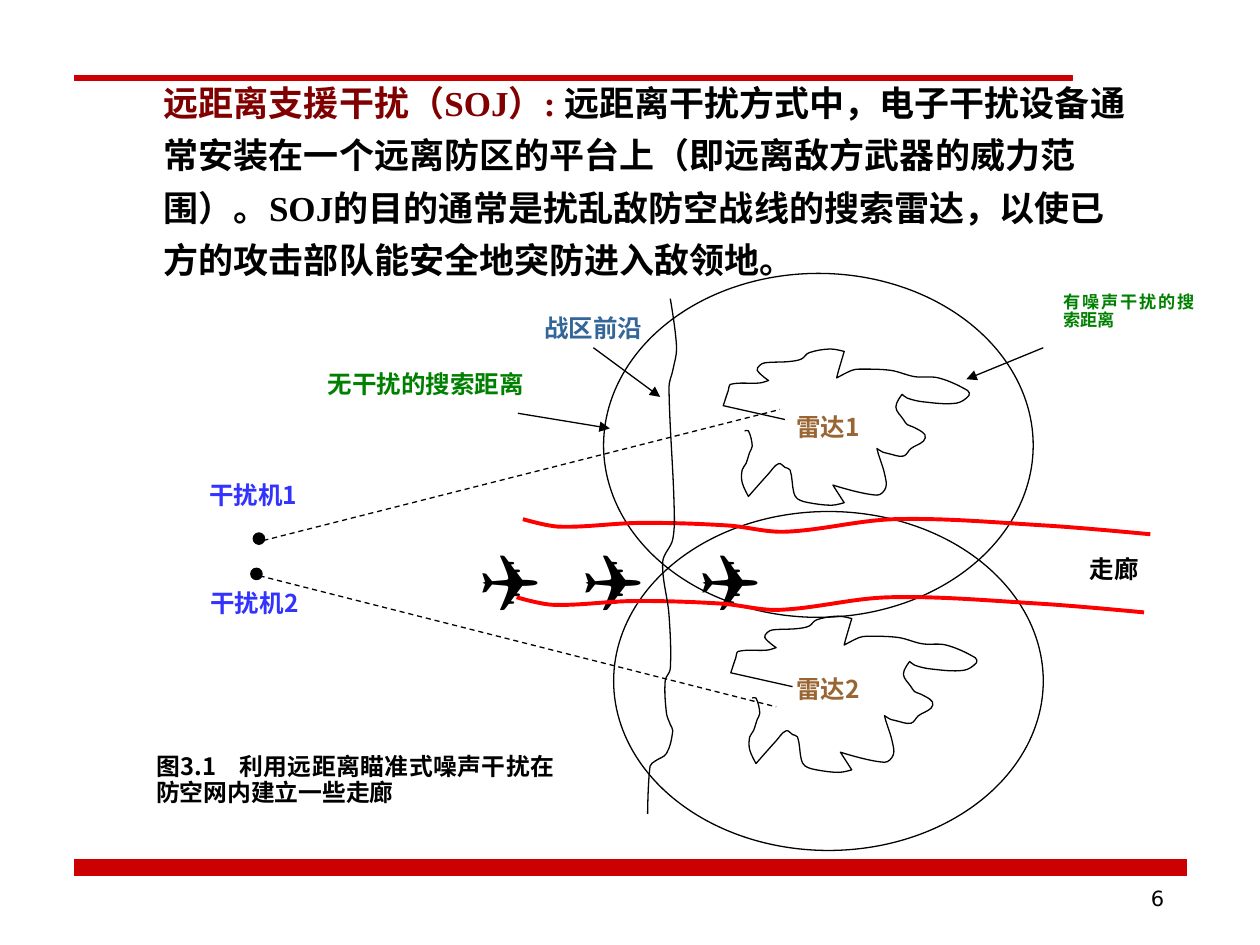
"""Builds the slide on stand-off jamming that opens corridors in an air-defence net."""
import math
from dataclasses import dataclass

import pptx
import pptx.dml.color
import pptx.enum.dml
import pptx.enum.shapes
import pptx.enum.text
import pptx.oxml
import pptx.oxml.ns
import pptx.util
from pptx.util import Inches

ALIGN = pptx.enum.text.PP_ALIGN
SHAPE = pptx.enum.shapes.MSO_SHAPE
CJK = "Noto Sans CJK SC"
BLACK, RED, BRIGHT_RED = "000000", "CC0000", "FF0000"
BLUE, GREEN, BROWN = "3333FF", "008000", "996633"
Point = tuple[float, float]


@dataclass
class Label:
    text: str
    box: tuple[float, float, float, float]
    color: str = BLACK
    size: float = 14
    font: str = CJK
    bold: bool = True
    align: ALIGN = ALIGN.JUSTIFY
    spacing: float = 1.0
    tabs: tuple[float, ...] = ()


@dataclass
class Line:
    start: Point
    end: Point
    color: str = BLACK
    width: float = 0.75
    dashed: bool = False
    arrow: bool = False


RADAR_BLOB = [
    (6.23, 3.33), (5.74, 3.22), (5.78, 3.1), (5.8, 3.05), (6.03, 3.04), (6.1, 3.02),
    (6.01, 2.94), (6.03, 2.9), (6.07, 2.88), (6.26, 2.87), (6.36, 2.85), (6.42, 2.8),
    (6.59, 2.77), (6.7, 2.79), (6.65, 2.96), (6.64, 3), (6.76, 2.94), (6.82, 2.93),
    (7.07, 2.94), (7.26, 2.99), (7.45, 3), (7.68, 3.1), (7.69, 3.14), (7.59, 3.2),
    (7.33, 3.19), (7.2, 3.16), (7.16, 3.13), (7.11, 3.23), (7.17, 3.33), (7.2, 3.37),
    (7.25, 3.39), (7.34, 3.45), (7.33, 3.5), (7.23, 3.56), (7.17, 3.62), (7.05, 3.6),
    (7.01, 3.59), (6.96, 3.56), (6.97, 3.6), (6.99, 3.66), (7.02, 3.76), (7.03, 3.87),
    (6.96, 3.93), (6.61, 3.85), (6.7, 3.99), (6.6, 4.01), (6.42, 3.99), (6.33, 3.96),
    (6.3, 3.91), (6.27, 3.73), (6.23, 3.71), (6.18, 3.68), (6.1, 3.76), (5.94, 3.94),
    (5.89, 3.83), (5.89, 3.73), (5.92, 3.68), (5.95, 3.59), (5.97, 3.54), (5.94, 3.42),
    (5.91, 3.42),
]
CORRIDOR_EDGE = [
    (4.15, 4.12), (4.44, 4.18), (5.08, 4.15), (5.77, 4.17), (6.23, 4.22), (7.11, 4.12),
    (8.29, 4.17), (9.13, 4.24),
]
FRONT_LINE = [
    (5.32, 2.37), (5.37, 2.76), (5.34, 2.94), (5.31, 3.07), (5.35, 4), (5.34, 4.28),
    (5.26, 4.46), (5.31, 4.88), (5.32, 5.31), (5.28, 5.4), (5.29, 5.66), (5.32, 5.75),
    (5.34, 5.8), (5.29, 5.98), (5.2, 6.04), (5.16, 6.08), (5.14, 6.46),
]
FOOTER_LINE = Line((0.67, 6.9), (9.33, 6.9), RED, 0.25)
LINES = [
    Line((2.09, 4.29), (6.19, 3.25), dashed=True),
    Line((2.06, 4.57), (6.16, 5.61), dashed=True),
    Line((4.71, 2.76), (5.24, 3.15), arrow=True),
    Line((4.11, 3.28), (4.84, 3.4), arrow=True),
    Line((8.28, 2.76), (7.67, 3.01), arrow=True),
]
PLANES = Label("✈\t✈\t✈", (3.72, 4.24, 3.82, 0.73), size=36, font="Arial",
               align=ALIGN.LEFT, tabs=(0.82, 1.75))
LABELS = [
    Label("战区前沿", (4.23, 2.44, 1.24, 0.45), "336699"),
    Label("干扰机2", (1.58, 4.63, 1.06, 0.41), BLUE),
    Label("干扰机1", (1.57, 3.77, 1.06, 0.41), BLUE),
    Label("走廊", (8.56, 4.36, 0.72, 0.41)),
    Label("雷达1", (6.23, 3.23, 0.8, 0.5), BROWN),
    Label("雷达2", (6.23, 5.31, 0.76, 0.38), BROWN),
    Label("无干扰的搜索距离", (2.51, 2.89, 1.93, 0.44), GREEN),
    Label("有噪声干扰的搜索距离", (8.35, 2.3, 1.22, 0.44), GREEN, 9.8, spacing=0.85),
    Label("图3.1\t利用远距离瞄准式噪声干扰在防空网内建立一些走廊",
          (1.15, 5.95, 3.34, 0.59), size=13.6, spacing=0.9, tabs=(0.65,)),
    Label("6", (7.16, 6.99, 2.17, 0.51), size=12, font="DejaVu Sans", bold=False,
          align=ALIGN.RIGHT),
]


def paint(fill, color: str) -> None:
    fill.solid()
    fill.fore_color.rgb = pptx.dml.color.RGBColor.from_string(color)


def append(parent, tag: str, **attributes: str):
    child = parent.makeelement(pptx.oxml.ns.qn(tag), attributes)
    parent.append(child)
    return child


def style(sp, fill: str | None, line: str, width: float) -> None:
    sp.shadow.inherit = False
    if fill:
        paint(sp.fill, fill)
    else:
        sp.fill.background()
    paint(sp.line.fill, line)
    sp.line.width = pptx.util.Pt(width)


def add_shape(s, kind: SHAPE, box, fill: str | None = None, line: str = BLACK,
              width: float = 0.75) -> None:
    style(s.shapes.add_shape(kind, *map(Inches, box)), fill, line, width)


def add_label(s, label: Label):
    sp = s.shapes.add_textbox(*map(Inches, label.box))
    tf = sp.text_frame
    tf.word_wrap = True
    tf.margin_left = tf.margin_right = Inches(0.09)
    tf.margin_top = tf.margin_bottom = Inches(0.04)
    p = tf.paragraphs[0]
    p.alignment, p.line_spacing = label.align, label.spacing
    if label.tabs:
        tab_list = append(p._p.get_or_add_pPr(), "a:tabLst")
        for pos in label.tabs:
            append(tab_list, "a:tab", pos=str(Inches(pos)), algn="l")
    p.font.size, p.font.bold = pptx.util.Pt(label.size), label.bold
    p.font.name = label.font
    paint(p.font.fill, label.color)
    append(p._p.pPr.find(pptx.oxml.ns.qn("a:defRPr")), "a:ea", typeface=CJK)
    if label.text:
        p.add_run().text = label.text
    return sp


def add_title(s) -> None:
    sp = add_label(s, Label("", (1.21, 0.52, 7.82, 1.75), size=20,
                            font="Times New Roman", align=ALIGN.LEFT, spacing=1.25))
    sp.text_frame.vertical_anchor = pptx.enum.text.MSO_ANCHOR.MIDDLE
    for text, color in (
        ("远距离支援干扰（SOJ）: ", "800000"),
        ("远距离干扰方式中，电子干扰设备通常安装在一个远离防区的平台上（即远离敌方武器的"
         "威力范围）。SOJ的目的通常是扰乱敌防空战线的搜索雷达，以使已方的攻击部队能安全地"
         "突防进入敌领地。", BLACK),
    ):
        r = sp.text_frame.paragraphs[0].add_run()
        r.text = text
        paint(r.font.fill, color)


def add_line(s, line: Line) -> None:
    cx = s.shapes.add_connector(pptx.enum.shapes.MSO_CONNECTOR.STRAIGHT,
                                *map(Inches, line.start + line.end))
    paint(cx.line.fill, line.color)
    cx.line.width = pptx.util.Pt(line.width)
    if line.dashed:
        cx.line.dash_style = pptx.enum.dml.MSO_LINE.DASH
    if line.arrow:
        append(cx.line._get_or_add_ln(), "a:tailEnd", type="triangle")
    append(cx._element.spPr, "a:effectLst")


def tangent(a: Point, b: Point, c: Point) -> Point:
    """Return the unit direction at b, or zero where the outline has a sharp corner."""
    turn = (b[0] - a[0]) * (c[0] - b[0]) + (b[1] - a[1]) * (c[1] - b[1])
    length = math.dist(a, c)
    return ((c[0] - a[0]) / length, (c[1] - a[1]) / length) if turn > 0 else (0, 0)


def add_curve(s, points: list[Point], color: str = BLACK, width: float = 0.75,
              dx: float = 0, dy: float = 0) -> None:
    path = [(Inches(x + dx), Inches(y + dy)) for x, y in points]
    builder = s.shapes.build_freeform(*path[0])
    builder.add_line_segments(path[1:], close=False)
    sp = builder.convert_to_shape()
    style(sp, None, color, width)
    left, top = min(x for x, _ in path), min(y for _, y in path)
    tangents = [(0, 0), *map(tangent, path, path[1:], path[2:]), (0, 0)]
    segments = list(sp._element.iter(pptx.oxml.ns.qn("a:lnTo")))
    for i, segment in enumerate(segments):
        (a, b), (ta, tb) = path[i:i + 2], tangents[i:i + 2]
        h = math.dist(a, b) / 3
        segment.tag = pptx.oxml.ns.qn("a:cubicBezTo")
        segment.remove(segment[0])
        for x, y in ((a[0] + h * ta[0], a[1] + h * ta[1]),
                     (b[0] - h * tb[0], b[1] - h * tb[1]), b):
            append(segment, "a:pt", x=str(round(x - left)), y=str(round(y - top)))


def main() -> None:
    prs = pptx.Presentation()
    prs.slide_width, prs.slide_height = Inches(10), Inches(7.5)
    s = prs.slides.add_slide(prs.slide_layouts[6])
    add_shape(s, SHAPE.RECTANGLE, (0.59, 6.82, 8.83, 0.13), RED, RED)
    add_line(s, FOOTER_LINE)
    add_shape(s, SHAPE.RECTANGLE, (0.59, 0.6, 7.92, 0.04), RED, RED, 0.5)
    add_title(s)
    add_label(s, PLANES)
    for x, y in ((2.01, 4.23), (1.99, 4.51)):
        add_shape(s, SHAPE.OVAL, (x, y, 0.09, 0.09), BLACK)
    for line in LINES:
        add_line(s, line)
    for dx, dy in ((0, 0), (0.06, 2.12)):
        add_curve(s, RADAR_BLOB, dx=dx, dy=dy)
    for search_range in ((4.79, 2.17, 3.41, 2.73), (4.87, 4.06, 3.41, 2.69)):
        add_shape(s, SHAPE.OVAL, search_range)
    for dx, dy in ((0, 0), (-0.05, 0.62)):
        add_curve(s, CORRIDOR_EDGE, BRIGHT_RED, 2.25, dx, dy)
    add_curve(s, FRONT_LINE)
    for label in LABELS:
        add_label(s, label)
    prs.save("out.pptx")


if __name__ == "__main__":
    main()
